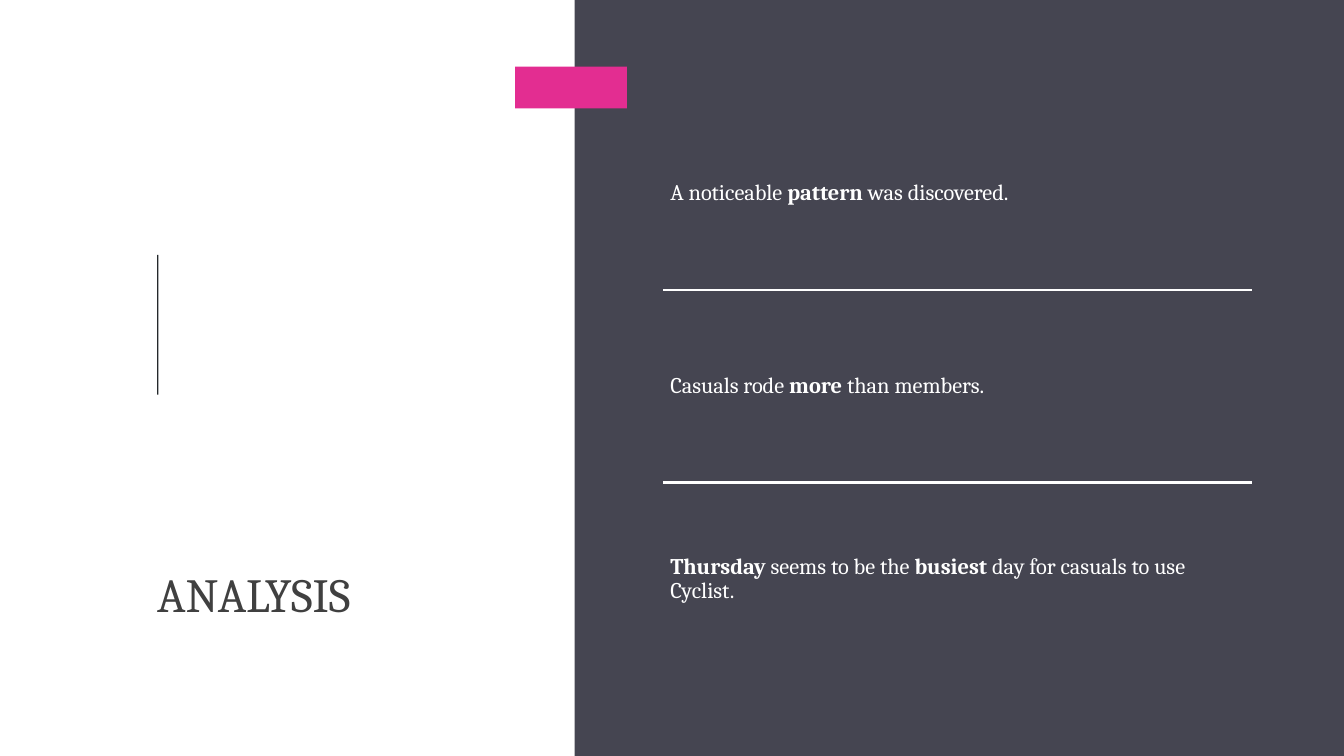
from lxml import etree
from pptx import Presentation
from pptx.dml.color import RGBColor
from pptx.enum.shapes import MSO_CONNECTOR, MSO_SHAPE
from pptx.enum.text import MSO_ANCHOR, PP_ALIGN
from pptx.oxml.ns import qn
from pptx.util import Pt

COLORS = {
    "panel": "454551",
    "rule": "24282B",
    "accent": "E32D91",
    "title": "404040",
    "light": "FFFFFF",
}
FONT = "Cambria"
FINDINGS = [
    [("A noticeable ", False), ("pattern", True), (" was discovered.", False)],
    [("Casuals rode ", False), ("more", True), (" than members.", False)],
    [("Thursday", True), (" seems to be the ", False), ("busiest", True),
     (" day for casuals to use Cyclist.", False)],
]
FINDINGS_LEFT, FINDINGS_TOP = 473.8, 69.2
FINDINGS_WIDTH, FINDING_HEIGHT = 420.5, 137.8


def rgb(color):
    return RGBColor.from_string(COLORS[color])


def write_text(frame, runs, *, size, color, anchor, inset=0, spacing=None):
    frame.word_wrap = True
    frame.vertical_anchor = anchor
    frame.margin_left = frame.margin_right = Pt(inset)
    frame.margin_top = frame.margin_bottom = Pt(inset)
    paragraph = frame.paragraphs[0]
    paragraph.alignment = PP_ALIGN.LEFT
    if spacing:
        paragraph.line_spacing = spacing
    for words, bold in runs:
        run = paragraph.add_run()
        run.text = words
        run.font.name = FONT
        run.font.size = Pt(size)
        run.font.bold = bold
        run.font.color.rgb = rgb(color)


def add_block(slide, left, top, width, height, color):
    block = slide.shapes.add_shape(
        MSO_SHAPE.RECTANGLE, Pt(left), Pt(top), Pt(width), Pt(height))
    block.shadow.inherit = False
    block.fill.solid()
    block.fill.fore_color.rgb = rgb(color)
    block.line.fill.background()


def add_title(slide, words):
    title = slide.shapes.title
    title.left, title.top = Pt(112.3), Pt(317.5)
    title.width, title.height = Pt(288), Pt(126.7)
    write_text(title.text_frame, [(words, False)], size=34, color="title",
               anchor=MSO_ANCHOR.BOTTOM)


def add_finding(slide, top, runs):
    finding = slide.shapes.add_textbox(
        Pt(FINDINGS_LEFT), Pt(top), Pt(FINDINGS_WIDTH), Pt(FINDING_HEIGHT))
    write_text(finding.text_frame, runs, size=16, color="light",
               anchor=MSO_ANCHOR.MIDDLE, inset=5, spacing=0.9)


def add_divider(slide, top):
    divider = slide.shapes.add_connector(
        MSO_CONNECTOR.STRAIGHT, Pt(FINDINGS_LEFT), Pt(top),
        Pt(FINDINGS_LEFT + FINDINGS_WIDTH), Pt(top))
    divider.line.color.rgb = rgb("light")
    divider.line.width = Pt(1.75)
    etree.SubElement(divider._element.spPr, qn("a:effectLst"))


def main():
    """Build the analysis slide and save it."""
    deck = Presentation()
    deck.slide_width, deck.slide_height = Pt(960), Pt(540)
    slide = deck.slides.add_slide(deck.slide_layouts[5])
    add_block(slide, 410.4, 0, 549.6, 540, "panel")
    add_block(slide, 112.2, 182, 1, 100, "rule")
    add_block(slide, 367.9, 47.6, 80, 29.8, "accent")
    add_title(slide, "ANALYSIS")
    for row, runs in enumerate(FINDINGS):
        top = FINDINGS_TOP + row * FINDING_HEIGHT
        if row:
            add_divider(slide, top)
        add_finding(slide, top, runs)
    deck.save("out.pptx")


if __name__ == "__main__":
    main()
